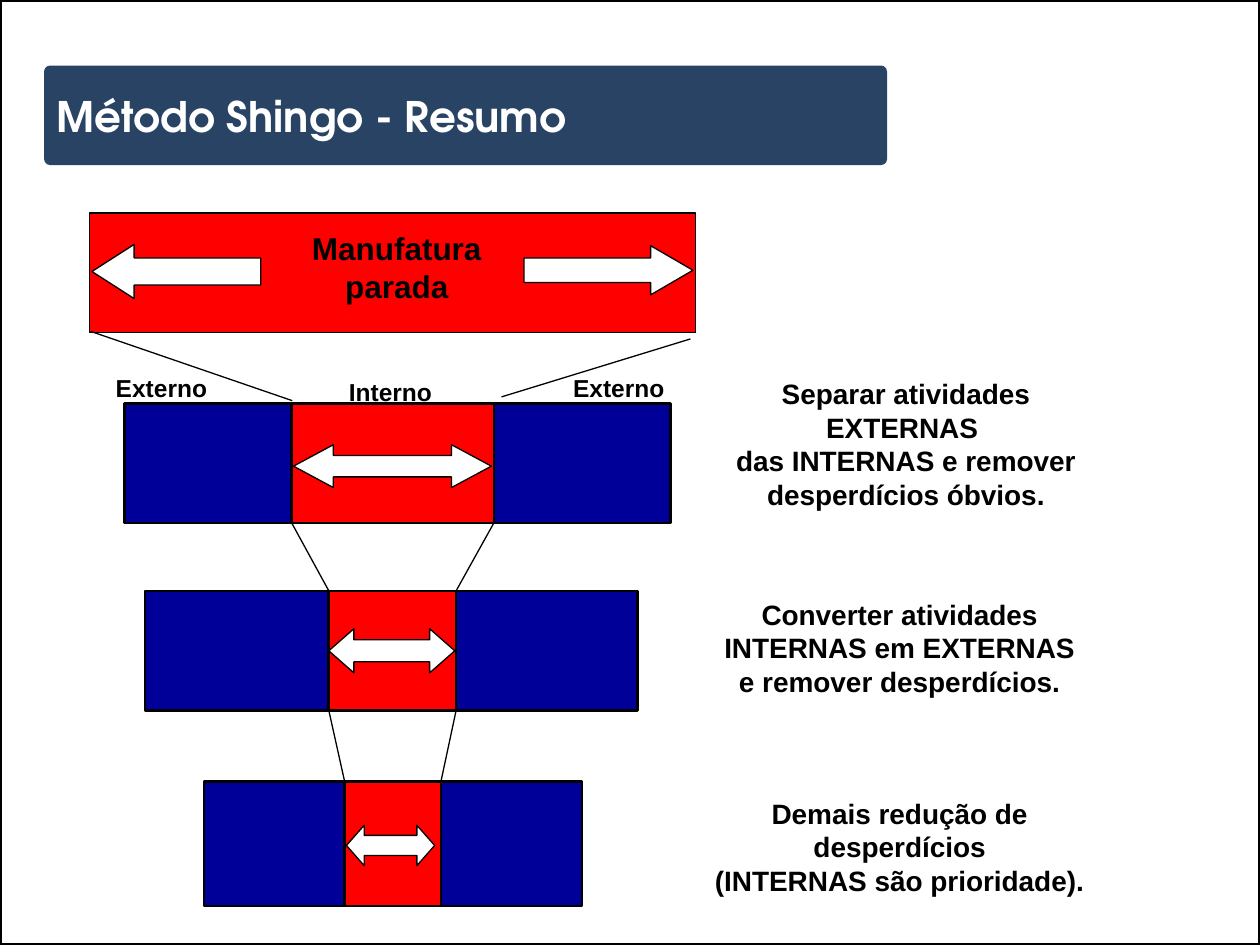
from lxml.etree import SubElement
from pptx import Presentation
from pptx.dml.color import RGBColor
from pptx.enum.shapes import MSO_CONNECTOR as Connector, MSO_SHAPE as Shape
from pptx.enum.text import MSO_ANCHOR as Anchor, MSO_AUTO_SIZE as AutoSize, PP_ALIGN as Align
from pptx.oxml.ns import qn
from pptx.util import Inches, Pt

BLACK = RGBColor(0, 0, 0)
WHITE = RGBColor(255, 255, 255)
RED = RGBColor(255, 0, 0)
BLUE = RGBColor(0, 0, 0x99)
NAVY = RGBColor(0x25, 0x40, 0x61)
COLUMNS, ROWS = 100, 75
BANNER = (3.5, 5.2, 66.9, 7.9)

# top, height, block edges, double arrow (area, head ratio)
STAGES = [
    (32, 9.5, (9.9, 23.15, 39.2, 53.2), (23.3, 35.3, 15.7, 3.4), 0.93),
    (46.9, 9.5, (11.5, 26.1, 36.2, 50.6), (26.1, 49.9, 10, 3.5), 0.57),
    (62, 9.9, (16.2, 27.35, 35, 46.2), (27.5, 65.5, 7, 3.2), 0.44),
]
LABELS = [("Externo", (8.2, 29.1, 9.8, 3.3)),
          ("Externo", (44.5, 29.1, 9.8, 3.3)),
          ("Interno", (26.7, 29.4, 9.2, 3.3))]
NOTES = [
    (["Separar atividades EXTERNAS ", "das INTERNAS e remover desperdícios óbvios."],
     (56.5, 29.4, 30.8, 11.7)),
    (["Converter atividades INTERNAS em EXTERNAS e remover desperdícios."],
     (55.7, 46.9, 31.4, 9)),
    (["Demais redução de desperdícios", "(INTERNAS são prioridade)."],
     (55.7, 62.7, 31.4, 9)),
]


def grid(*cells):
    """Turn grid cells into slide lengths."""
    return [Inches(cell / 10) for cell in cells]


def add_block(page, kind, area, fill, width=0.75, ratios=()):
    """Add a preset shape, outlined unless the width is zero."""
    block = page.shapes.add_shape(kind, *grid(*area))
    block.shadow.inherit = False
    if fill is None:
        block.fill.background()
    else:
        block.fill.solid()
        block.fill.fore_color.rgb = fill
    if width:
        block.line.color.rgb = BLACK
        block.line.width = Pt(width)
    else:
        block.line.fill.background()
    for index, ratio in enumerate(ratios):
        block.adjustments[index] = ratio
    return block


def add_line(page, start, end):
    """Add a thin straight line between two grid points."""
    line = page.shapes.add_connector(Connector.STRAIGHT, *grid(*start, *end))
    line.line.color.rgb = BLACK
    line.line.width = Pt(0.75)
    SubElement(line._element.spPr, qn("a:effectLst"))


def set_font(para, name, size, color):
    """Set the bold font of a paragraph."""
    para.font.name = name
    para.font.size = Pt(size)
    para.font.bold = True
    para.font.color.rgb = color


def add_text(page, texts, area, size, wrap=True):
    """Add bold text, one paragraph for each entry."""
    box = page.shapes.add_textbox(*grid(*area))
    frame = box.text_frame
    frame.word_wrap = wrap
    frame.auto_size = AutoSize.SHAPE_TO_FIT_TEXT
    frame.text = "\n".join(texts)
    for para in frame.paragraphs:
        para.alignment = Align.CENTER if wrap else Align.LEFT
        set_font(para, "Arial", size, BLACK)


def set_title(page, text):
    """Place the title on a rounded banner."""
    title = page.shapes.title
    banner = add_block(page, Shape.ROUNDED_RECTANGLE, BANNER, NAVY, 0, (0.06,))
    color = banner._element.spPr.find(qn("a:solidFill"))[0]
    SubElement(color, qn("a:alpha"), val="98000")
    title._element.addprevious(banner._element)
    title.left, title.top, title.width, title.height = grid(*BANNER)
    frame = title.text_frame
    frame.text = text
    frame.word_wrap = True
    frame.auto_size = AutoSize.NONE
    frame.vertical_anchor = Anchor.MIDDLE
    para = frame.paragraphs[0]
    para.alignment = Align.LEFT
    set_font(para, "TeX Gyre Adventor", 24, WHITE)


def add_stopped_bar(page):
    """Add the full-width bar of stopped production."""
    add_block(page, Shape.RECTANGLE, (7.1, 16.9, 48.1, 9.5), RED)
    add_text(page, ["Manufatura parada"], (20.3, 17.7, 22.4, 7), 18)
    add_block(page, Shape.LEFT_ARROW, (7.3, 19.4, 13.4, 4.3), WHITE, ratios=(0.5, 0.78))
    add_block(page, Shape.RIGHT_ARROW, (41.6, 19.5, 13.4, 3.9), WHITE, ratios=(0.5, 0.86))
    add_line(page, (7.2, 26.3), (23.2, 31.8))
    add_line(page, (54.8, 26.9), (39.8, 31.5))


def add_stage(page, top, height, edges, arrow, head):
    """Add external, internal and external blocks with a double arrow."""
    spans = list(zip(edges, edges[1:]))
    for index, fill in ((0, BLUE), (2, BLUE), (1, RED)):
        left, right = spans[index]
        add_block(page, Shape.RECTANGLE, (left, top, right - left, height), fill, 1.5)
    add_block(page, Shape.LEFT_RIGHT_ARROW, arrow, WHITE, ratios=(0.5, head))


def main():
    """Build the slide."""
    deck = Presentation()
    deck.slide_width, deck.slide_height = grid(COLUMNS, ROWS)
    page = deck.slides.add_slide(deck.slide_layouts[5])
    add_block(page, Shape.RECTANGLE, (0, 0, COLUMNS, ROWS), None, 2)
    set_title(page, "Método Shingo - Resumo")
    add_stopped_bar(page)
    for stage in STAGES:
        add_stage(page, *stage)
    for upper, lower in zip(STAGES, STAGES[1:]):
        for side in (1, 2):
            add_line(page, (upper[2][side], upper[0] + upper[1]), (lower[2][side], lower[0]))
    for text, area in LABELS:
        add_text(page, [text], area, 14, wrap=False)
    for texts, area in NOTES:
        add_text(page, texts, area, 16)
    deck.save("out.pptx")


if __name__ == "__main__":
    main()
